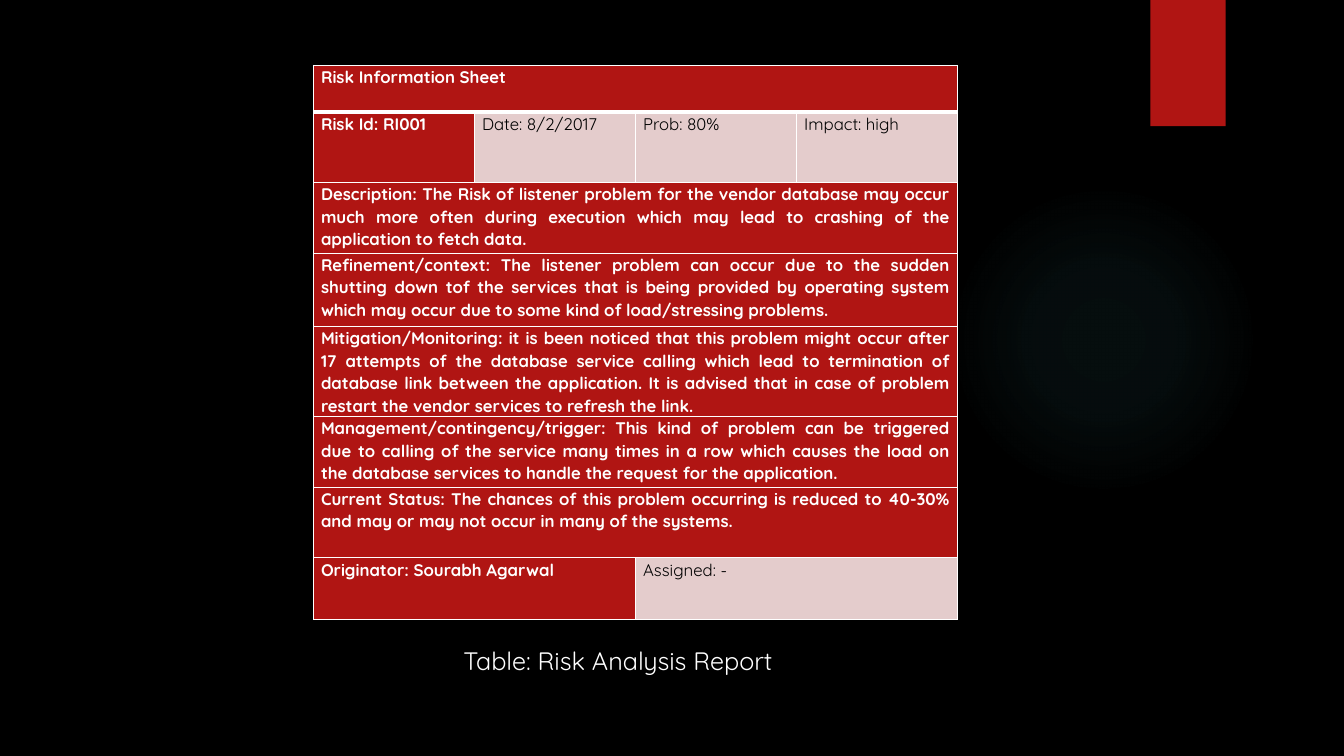
import pptx
import pptx.util
import pptx.dml.color
import pptx.enum.shapes
import pptx.enum.text
import pptx.oxml
import pptx.oxml.ns

Cm, Pt = pptx.util.Cm, pptx.util.Pt
RGBColor = pptx.dml.color.RGBColor
MSO_SHAPE = pptx.enum.shapes.MSO_SHAPE
PP_ALIGN = pptx.enum.text.PP_ALIGN

BLACK = RGBColor(0x00, 0x00, 0x00)
WHITE = RGBColor(0xFF, 0xFF, 0xFF)
RED = RGBColor(0xB0, 0x15, 0x13)
PINK = RGBColor(0xE4, 0xCC, 0xCC)
TEAL = RGBColor(0x50, 0xB9, 0xC1)
FONT = "Quicksand"
NAMESPACE = pptx.oxml.ns.nsdecls("a")

# Each row: height in cm, then (text, columns spanned, is heading)
ROWS = [
    (1.17, [("Risk Information Sheet", 4, True)]),
    (1.78, [("Risk Id: RI001", 1, True), ("Date: 8/2/2017", 1, False),
            ("Prob: 80%", 1, False), ("Impact: high", 1, False)]),
    (1.78, [("Description: The Risk of listener problem for the vendor database may occur "
             "much more often during execution which may lead to crashing of the "
             "application to fetch data.", 4, True)]),
    (1.85, [("Refinement/context: The listener problem can occur due to the sudden "
             "shutting down tof the services that is being provided by operating system "
             "which may occur due to some kind of load/stressing problems.", 4, True)]),
    (1.78, [("Mitigation/Monitoring: it is been noticed that this problem might occur after "
             "17 attempts of the database service calling which lead to termination of "
             "database link between the application. It is advised that in case of problem "
             "restart the vendor services to refresh the link.", 4, True)]),
    (1.78, [("Management/contingency/trigger: This kind of problem can be triggered due "
             "to calling of the service many times in a row which causes the load on the "
             "database services to handle the request for the application.", 4, True)]),
    (1.78, [("Current Status: The chances of this problem occurring is reduced to 40-30% "
             "and may or may not occur in many of the systems.", 4, True)]),
    (1.55, [("Originator: Sourabh Agarwal", 2, True), ("Assigned: -", 2, False)]),
]
COLUMN_COUNT = 4
COLUMN_WIDTH = Cm(4.06)


def set_borders(cell, widths):
    """Draw white borders; widths are points for left, right, top, bottom."""
    properties = cell._tc.get_or_add_tcPr()
    for position, (side, width) in enumerate(zip("LRTB", widths)):
        properties.insert(position, pptx.oxml.parse_xml(
            f'<a:ln{side} {NAMESPACE} w="{Pt(width)}"><a:solidFill>'
            f'<a:srgbClr val="{WHITE}"/></a:solidFill></a:ln{side}>'))


presentation = pptx.Presentation()
presentation.slide_width = Cm(33.87)
presentation.slide_height = Cm(19.05)
slide = presentation.slides.add_slide(presentation.slide_layouts[6])
slide.background.fill.solid()
slide.background.fill.fore_color.rgb = BLACK

# Soft glow on the right
glow = slide.shapes.add_shape(MSO_SHAPE.OVAL, Cm(23.9), Cm(4.65), Cm(7.82), Cm(7.82))
glow.shadow.inherit = False
glow.line.fill.background()
glow.fill.background()
stops = "".join(
    f'<a:gs pos="{place * 1000}"><a:srgbClr val="{TEAL}">'
    f'<a:alpha val="{alpha * 1000}"/></a:srgbClr></a:gs>'
    for place, alpha in [(0, 7), (36, 6), (69, 0)])
no_fill = glow._element.spPr.find(pptx.oxml.ns.qn("a:noFill"))
glow._element.spPr.replace(no_fill, pptx.oxml.parse_xml(
    f'<a:gradFill {NAMESPACE}><a:gsLst>{stops}</a:gsLst><a:path path="circle">'
    '<a:fillToRect l="50000" t="50000" r="50000" b="50000"/></a:path></a:gradFill>'))

# Red tab at the top
tab = slide.shapes.add_shape(MSO_SHAPE.RECTANGLE, Cm(28.99), Cm(0), Cm(1.9), Cm(3.18))
tab.shadow.inherit = False
tab.fill.solid()
tab.fill.fore_color.rgb = RED
tab.line.fill.background()
effects = tab._element.spPr.find(pptx.oxml.ns.qn("a:effectLst"))
effects.append(pptx.oxml.parse_xml(
    f'<a:outerShdw {NAMESPACE} blurRad="{Pt(3)}" dist="{Pt(2)}" dir="5400000">'
    f'<a:srgbClr val="{BLACK}"><a:alpha val="45000"/></a:srgbClr></a:outerShdw>'))

# Risk table
table_height = Cm(sum(height for height, entries in ROWS))
table = slide.shapes.add_table(len(ROWS), COLUMN_COUNT, Cm(7.9), Cm(1.65),
                               COLUMN_WIDTH * COLUMN_COUNT, table_height).table
for column in table.columns:
    column.width = COLUMN_WIDTH

for row_index, (height, entries) in enumerate(ROWS):
    table.rows[row_index].height = Cm(height)
    top_width = 3 if row_index == 1 else 1
    bottom_width = 3 if row_index == 0 else 1
    column_index = 0
    for text, span, is_heading in entries:
        last_column = column_index + span - 1
        first_cell = table.cell(row_index, column_index)
        if span > 1:
            first_cell.merge(table.cell(row_index, last_column))
        for index in range(column_index, last_column + 1):
            cell = table.cell(row_index, index)
            cell.fill.solid()
            cell.fill.fore_color.rgb = RED if is_heading else PINK
            set_borders(cell, (1, 1, top_width, bottom_width))
        first_cell.margin_left = first_cell.margin_right = Cm(0.19)
        first_cell.margin_top = first_cell.margin_bottom = 0
        first_cell.text = text
        paragraph = first_cell.text_frame.paragraphs[0]
        paragraph.alignment = PP_ALIGN.LEFT if row_index == 0 else PP_ALIGN.JUSTIFY
        paragraph.line_spacing = 1.07
        paragraph.font.name = FONT
        paragraph.font.size = Pt(12)
        paragraph.font.bold = is_heading
        paragraph.font.color.rgb = WHITE if is_heading else BLACK
        column_index += span

# Caption
caption = slide.shapes.add_textbox(Cm(11.43), Cm(16.13), Cm(19.02), Cm(1.03))
caption.text_frame.word_wrap = True
caption.text_frame.text = "Table: Risk Analysis Report"
paragraph = caption.text_frame.paragraphs[0]
paragraph.font.name = FONT
paragraph.font.size = Pt(18)
paragraph.font.color.rgb = WHITE

presentation.save("out.pptx")
